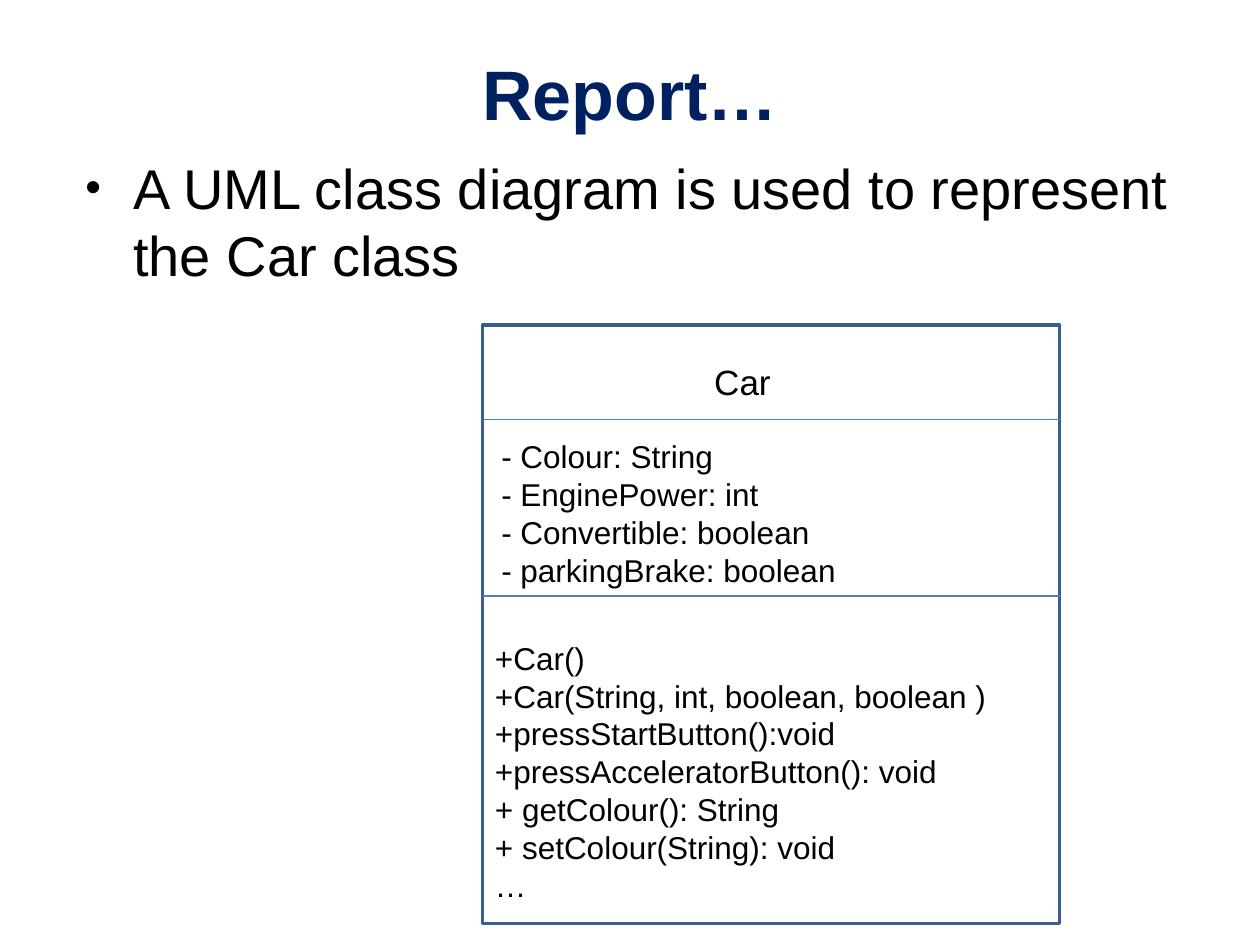
from dataclasses import dataclass

from lxml import etree
from pptx import Presentation
from pptx.dml.color import RGBColor
from pptx.enum.shapes import MSO_CONNECTOR, MSO_SHAPE
from pptx.enum.text import MSO_ANCHOR, PP_ALIGN
from pptx.oxml.ns import qn
from pptx.util import Inches, Pt

RECT = MSO_SHAPE.RECTANGLE
STRAIGHT = MSO_CONNECTOR.STRAIGHT
CENTER = PP_ALIGN.CENTER
MIDDLE, TOP = MSO_ANCHOR.MIDDLE, MSO_ANCHOR.TOP


@dataclass(frozen=True)
class Theme:
    font: str = "Arial"
    title_color: str = "002060"
    text_color: str = "000000"
    frame_color: str = "3A5F8C"
    divider_color: str = "4B7EBC"
    title_size: int = 40
    body_size: int = 32
    class_size: int = 20
    member_size: int = 18
    line_height: float = 1.2


THEME = Theme()
CLASS_LEFT, CLASS_TOP, CLASS_WIDTH, CLASS_HEIGHT = 3.83, 2.58, 4.58, 4.75
DIVIDERS = (3.33, 4.73)

ATTRIBUTES = (
    "- Colour: String",
    "- EnginePower: int",
    "- Convertible: boolean",
    "- parkingBrake: boolean",
)
METHODS = (
    "+Car()",
    "+Car(String, int, boolean, boolean )",
    "+pressStartButton():void",
    "+pressAcceleratorButton(): void",
    "+ getColour(): String",
    "+ setColour(String): void",
    "…",
)


def add_text(s, box, text, size, color=THEME.text_color, bold=False,
             align=None, anchor=TOP, wrap=False):
    """Add a text box whose newlines become line breaks; return its paragraph."""
    tf = s.shapes.add_textbox(*map(Inches, box)).text_frame
    tf.word_wrap = wrap
    tf.vertical_anchor = anchor
    p = tf.paragraphs[0]
    p.text = text
    p.alignment = align
    p.line_spacing = Pt(size * THEME.line_height)
    font_format = {"name": THEME.font, "size": Pt(size), "bold": bold}
    for r in p.runs:
        for name, value in font_format.items():
            setattr(r.font, name, value)
        r.font.color.rgb = RGBColor.from_string(color)
    return p


def add_bullet(p, indent):
    pPr = p._p.get_or_add_pPr()
    pPr.set("marL", str(Inches(indent)))
    pPr.set("indent", str(-Inches(indent)))
    color = etree.SubElement(pPr, qn("a:buClr"))
    etree.SubElement(color, qn("a:srgbClr"), val=THEME.text_color)
    etree.SubElement(pPr, qn("a:buSzPct"), val="80000")
    etree.SubElement(pPr, qn("a:buFont"), typeface=THEME.font)
    etree.SubElement(pPr, qn("a:buChar"), char="•")


def style_line(line, color, width):
    line.color.rgb = RGBColor.from_string(color)
    line.width = Pt(width)


def add_class_frame(s):
    box = (CLASS_LEFT, CLASS_TOP, CLASS_WIDTH, CLASS_HEIGHT)
    sp = s.shapes.add_shape(RECT, *map(Inches, box))
    sp.shadow.inherit = False
    sp.fill.background()
    style_line(sp.line, THEME.frame_color, 2)


def add_divider(s, y):
    ends = (CLASS_LEFT, y, CLASS_LEFT + CLASS_WIDTH, y)
    line = s.shapes.add_connector(STRAIGHT, *map(Inches, ends))
    style_line(line.line, THEME.divider_color, 0.75)
    etree.SubElement(line._element.spPr, qn("a:effectLst"))


def main():
    prs = Presentation()
    prs.slide_width, prs.slide_height = Inches(10), Inches(7.5)
    s = prs.slides.add_slide(prs.slide_layouts[6])

    add_text(s, (0.5, 0.3, 9, 0.87), "Report…", THEME.title_size,
             color=THEME.title_color, bold=True, align=CENTER,
             anchor=MIDDLE, wrap=True)
    p = add_text(s, (0.58, 1.17, 9, 1.25),
                 "A UML class diagram is used to represent the Car class",
                 THEME.body_size, wrap=True)
    add_bullet(p, 0.38)

    add_class_frame(s)
    for y in DIVIDERS:
        add_divider(s, y)
    add_text(s, (5.57, 2.81, 0.65, 0.44), "Car", THEME.class_size)
    add_text(s, (3.88, 3.42, 2.88, 1.31), "\n".join(ATTRIBUTES), THEME.member_size)
    add_text(s, (CLASS_LEFT, 5.02, 4.14, 2.22), "\n".join(METHODS), THEME.member_size)

    prs.save("out.pptx")


if __name__ == "__main__":
    main()
